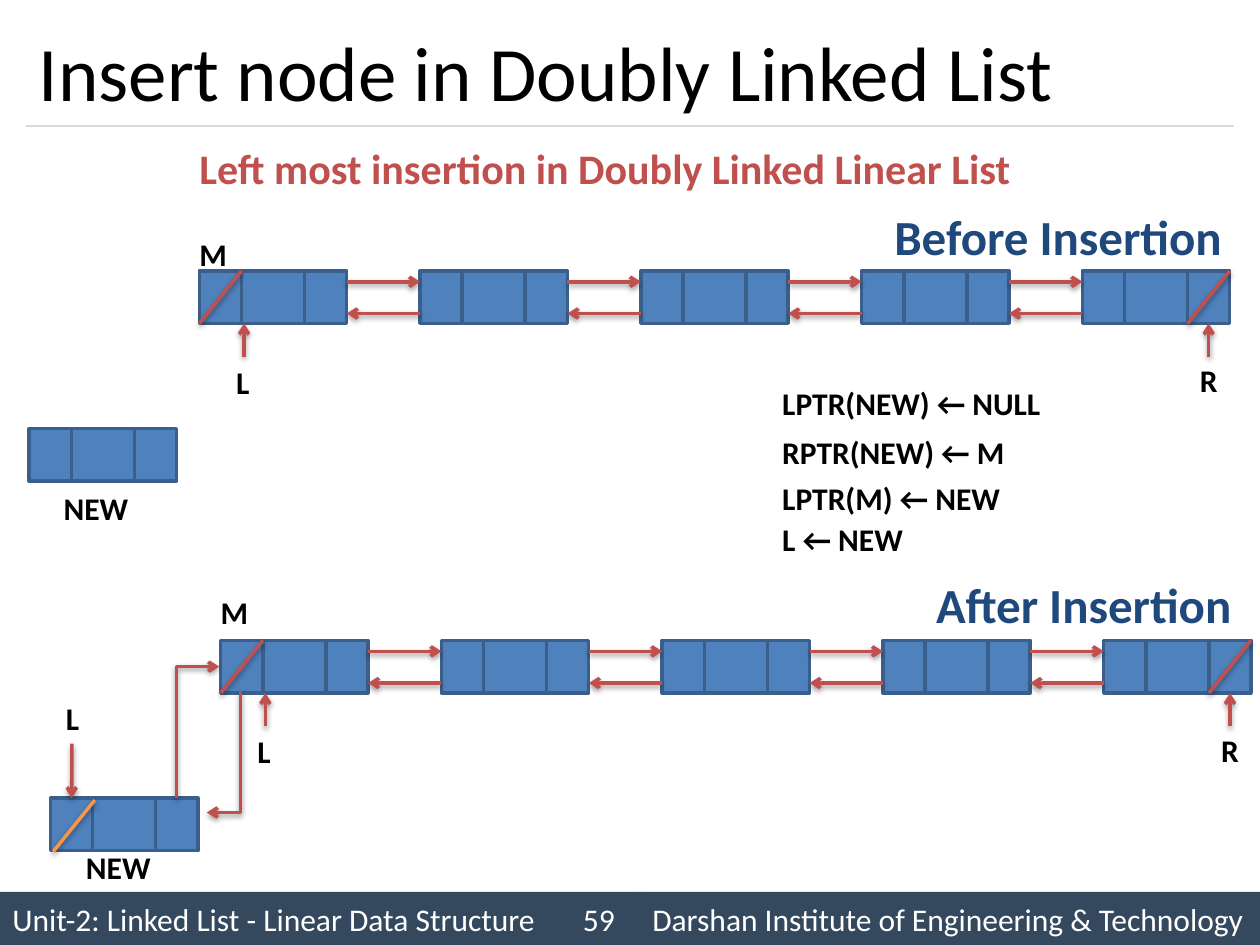
from lxml import etree
from pptx import Presentation
from pptx.dml.color import RGBColor
from pptx.enum import shapes, text
from pptx.oxml import parse_xml
from pptx.oxml.ns import nsdecls, qn
from pptx.util import Cm, Pt

BLACK = RGBColor(0x00, 0x00, 0x00)
WHITE = RGBColor(0xFF, 0xFF, 0xFF)
NODE_FILL = RGBColor(0x4F, 0x81, 0xBD)
NODE_LINE = RGBColor(0x3A, 0x5F, 0x8C)
RED = RGBColor(0xC0, 0x50, 0x4D)
ORANGE = RGBColor(0xF7, 0x96, 0x46)
NAVY = RGBColor(0x1F, 0x49, 0x7D)
SLATE = RGBColor(0x34, 0x49, 0x5E)
GRAY = RGBColor(0xD9, 0xD9, 0xD9)
FONT = "Calibri"
LEFT, CENTER = text.PP_ALIGN.LEFT, text.PP_ALIGN.CENTER

# Lengths in centimetres
CELL_WIDTHS = [0.85, 1.27, 0.85]
NODE_WIDTH = sum(CELL_WIDTHS)
NODE_HEIGHT = 1.06
NODE_PITCH = 4.45
NODE_COUNT = 5

presentation = Presentation()
presentation.slide_width, presentation.slide_height = Cm(25.4), Cm(19.05)
slide = presentation.slides.add_slide(presentation.slide_layouts[5])


def add_line(points, color=RED, width=2, arrow=True, shadow=True):
    """Draw a straight connector, or an open outline for three or more points."""
    points = [(Cm(x), Cm(y)) for x, y in points]
    if len(points) == 2:
        line = slide.shapes.add_connector(
            shapes.MSO_CONNECTOR.STRAIGHT, *points[0], *points[1])
    else:
        builder = slide.shapes.build_freeform(*points[0])
        builder.add_line_segments(points[1:], close=False)
        line = builder.convert_to_shape()
        line.fill.background()
    line.line.color.rgb = color
    line.line.width = Pt(width)
    if arrow:
        etree.SubElement(line.line._get_or_add_ln(), qn("a:tailEnd"), type="arrow")
    effect = ('<a:outerShdw blurRad="40000" dist="20000" dir="5400000" rotWithShape="0">'
              '<a:srgbClr val="000000"><a:alpha val="38000"/></a:srgbClr></a:outerShdw>')
    line._element.spPr.append(parse_xml(
        f'<a:effectLst {nsdecls("a")}>{effect if shadow else ""}</a:effectLst>'))
    return line


def add_label(label, left, top, width, size=18, color=BLACK, align=CENTER):
    box = slide.shapes.add_textbox(
        Cm(left), Cm(top), Cm(width), Cm(0.1 + 0.05 * size))
    frame = box.text_frame
    frame.word_wrap = False
    frame.auto_size = text.MSO_AUTO_SIZE.SHAPE_TO_FIT_TEXT
    frame.text = label
    paragraph = frame.paragraphs[0]
    paragraph.alignment = align
    font = paragraph.runs[0].font
    font.name, font.size, font.bold = FONT, Pt(size), True
    font.color.rgb = color


# Title and the rule below it
title = slide.shapes.title
title.left, title.top, title.width, title.height = Cm(0.53), Cm(0.3), Cm(24.33), Cm(2.24)
title.text_frame.text = "Insert node in Doubly Linked List"
title.text_frame.vertical_anchor = text.MSO_ANCHOR.MIDDLE
paragraph = title.text_frame.paragraphs[0]
paragraph.alignment = LEFT
font = paragraph.runs[0].font
font.name, font.size = FONT, Pt(44)
font.color.rgb = BLACK
add_line([(0.53, 2.54), (24.87, 2.54)], GRAY, width=0.75, arrow=False, shadow=False)

# Footer
for left, width, label, align in [
    (0, 11.23, "Unit-2: Linked List - Linear Data Structure", LEFT),
    (12.9, 12.5, "Darshan Institute of Engineering & Technology", LEFT),
    (11.23, 1.69, "59", CENTER),
]:
    bar = slide.shapes.add_shape(
        shapes.MSO_SHAPE.RECTANGLE, Cm(left), Cm(17.98), Cm(width), Cm(1.07))
    bar.shadow.inherit = False
    bar.fill.solid()
    bar.fill.fore_color.rgb = SLATE
    bar.line.fill.background()
    frame = bar.text_frame
    frame.word_wrap = False
    frame.vertical_anchor = text.MSO_ANCHOR.MIDDLE
    frame.text = label
    paragraph = frame.paragraphs[0]
    paragraph.alignment = align
    font = paragraph.runs[0].font
    font.name, font.size = FONT, Pt(18)
    font.color.rgb = WHITE

# Nodes: two lists of five, and the new node before and after
list_starts = [(4.02, 5.46), (4.45, 12.91)]
new_nodes = [(0.59, 8.64), (1.02, 16.09)]
node_starts = [(x + i * NODE_PITCH, y) for x, y in list_starts for i in range(NODE_COUNT)]
node_cells = {}
for node_left, node_top in node_starts + new_nodes:
    group = slide.shapes.add_group_shape()
    cells = node_cells[node_left, node_top] = {}
    for i in (1, 0, 2):
        cell = group.shapes.add_shape(
            shapes.MSO_SHAPE.RECTANGLE, Cm(node_left + sum(CELL_WIDTHS[:i])),
            Cm(node_top), Cm(CELL_WIDTHS[i]), Cm(NODE_HEIGHT))
        cell.shadow.inherit = False
        cell.fill.solid()
        cell.fill.fore_color.rgb = NODE_FILL
        cell.line.color.rgb = NODE_LINE
        cell.line.width = Pt(2)
        cells[i] = cell

# Links, null marks and end pointers of both lists
for x, y in list_starts:
    bottom = y + NODE_HEIGHT
    for i in range(NODE_COUNT - 1):
        link_left = x + i * NODE_PITCH + NODE_WIDTH
        link_right = x + (i + 1) * NODE_PITCH
        add_line([(link_left, y + 0.22), (link_right, y + 0.22)])
        add_line([(link_right, y + 0.86), (link_left, y + 0.86)])

    last_left = x + (NODE_COUNT - 1) * NODE_PITCH
    list_right = last_left + NODE_WIDTH
    for mark_right in (x + CELL_WIDTHS[0], list_right):
        add_line([(mark_right, y), (mark_right - CELL_WIDTHS[0], bottom)], arrow=False)

    add_line([(x + 0.9, y + 1.73), (x + 0.9, bottom)])
    add_label("L", x + 0.48, y + 1.73, 0.79)
    r_center = list_right - CELL_WIDTHS[2] / 2
    pointer = add_line([(r_center, y + 1.73), (r_center, bottom)])
    pointer.end_connect(node_cells[last_left, y][2], 2)
    add_label("R", r_center - 0.43, y + 1.7, 0.86)

# Pointers around the inserted node
add_line([(4.85, 13.94), (4.85, 16.38), (4.17, 16.38)])
add_line([(3.56, 16.08), (3.56, 13.44), (4.42, 13.44)])
add_line([(1.91, 16.13), (1.07, 17.17)], ORANGE, arrow=False)
pointer = add_line([(1.45, 14.99), (1.45, 16.09)])
pointer.end_connect(node_cells[new_nodes[1]][0], 0)

# Labels
add_label("Left most insertion in Doubly Linked Linear List", 3.68, 2.74, 17.04, 24, RED)
add_label("Before Insertion", 17.78, 4.04, 7.19, 28, NAVY, LEFT)
add_label("After Insertion", 18.62, 11.46, 6.58, 28, NAVY, LEFT)
add_label("M", 3.76, 4.62, 1.07)
add_label("M", 4.19, 11.84, 1.07)
add_label("L", 1.07, 13.97, 0.79)
add_label("NEW", 1.02, 9.73, 1.83)
add_label("NEW", 1.47, 16.97, 1.83)
for step, top, width in [
    ("LPTR(NEW) ← NULL", 7.62, 5.82),
    ("RPTR(NEW) ← M", 8.61, 5.11),
    ("LPTR(M) ← NEW", 9.53, 5),
    ("L ← NEW", 10.36, 3.02),
]:
    add_label(step, 15.52, top, width, align=LEFT)

presentation.save("out.pptx")
